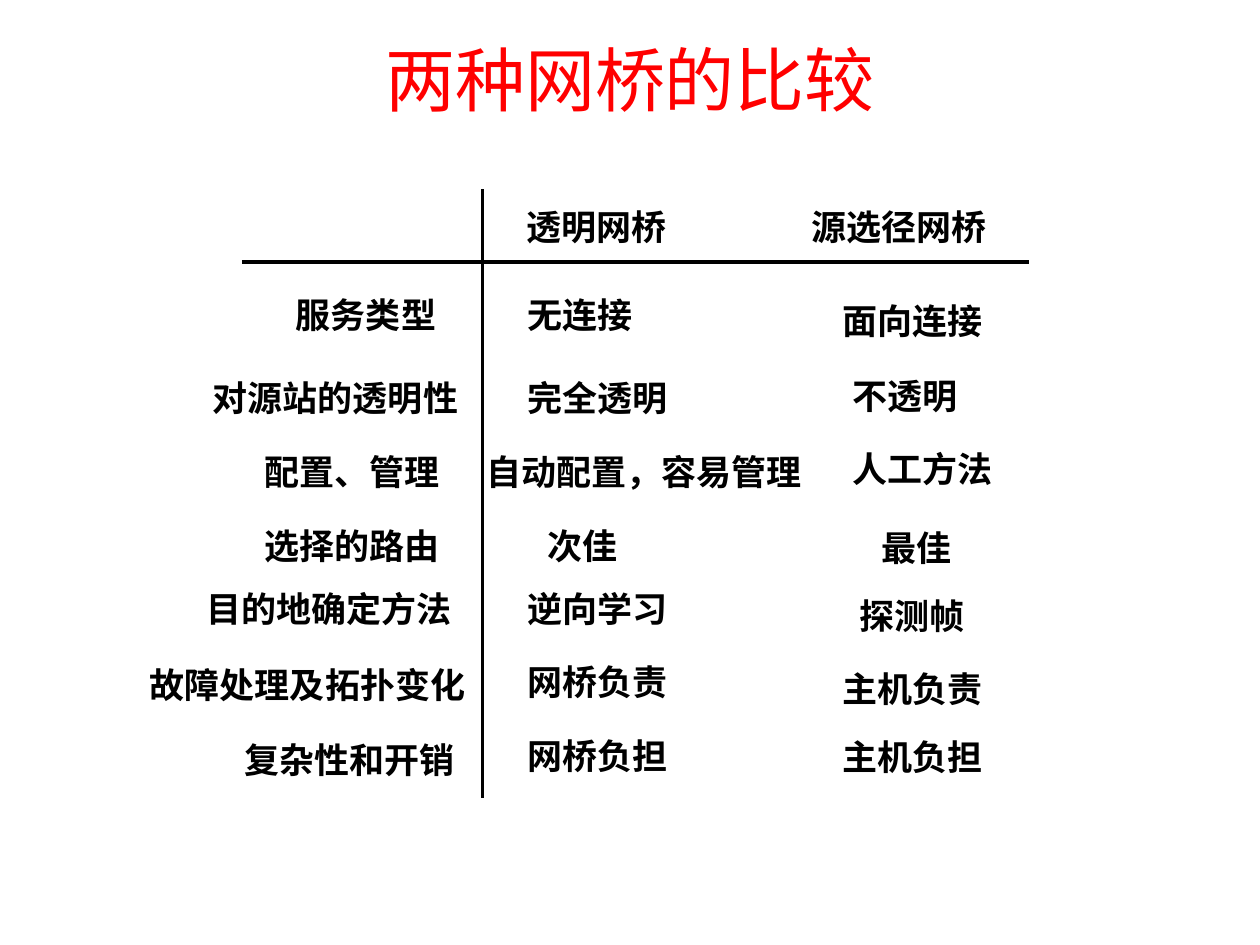
from lxml import etree
from pptx import Presentation
from pptx import util as u
from pptx.dml import color
from pptx.enum import shapes, text
from pptx.oxml import ns

COLORS = {"title": "FF0000", "ink": "000000"}
CHAR_WIDTH, SIDE_INSETS, ROW_HEIGHT = 0.28, 0.2, 0.44


def add_words(paragraph, words, font_name, size, ink, bold):
    run = paragraph.add_run()
    run.text = words
    run.font.name = font_name
    run.font.size = u.Pt(size)
    run.font.bold = bold
    run.font.color.rgb = color.RGBColor.from_string(COLORS[ink])


prs = Presentation()
prs.slide_width = u.Inches(10)
prs.slide_height = u.Inches(7.5)
slide = prs.slides.add_slide(prs.slide_layouts[5])

title = slide.shapes.title
title.left, title.top = u.Inches(0), u.Inches(0)
title.width, title.height = u.Inches(10), u.Inches(1.25)
title.text_frame.vertical_anchor = text.MSO_ANCHOR.MIDDLE
heading = title.text_frame.paragraphs[0]
heading.alignment = text.PP_ALIGN.CENTER
add_words(heading, "两种网桥的比较", "Times New Roman", 40, "title", False)

header_rule = (1.92, 2.08, 8.17, 2.08)
column_rule = (3.83, 1.5, 3.83, 6.33)
for ends in (header_rule, column_rule):
    rule = slide.shapes.add_connector(
        shapes.MSO_CONNECTOR.STRAIGHT, *[u.Inches(end) for end in ends])
    rule.line.color.rgb = color.RGBColor.from_string(COLORS["ink"])
    rule.line.width = u.Pt(2)
    etree.SubElement(rule._element.spPr, ns.qn("a:effectLst"))

comparison = [
    [(4.08, 1.58, "透明网桥"), (6.34, 1.58, "源选径网桥")],
    [(2.25, 2.28, "服务类型"), (4.09, 2.28, "无连接"), (6.59, 2.33, "面向连接")],
    [(1.59, 2.94, "对源站的透明性"), (4.09, 2.94, "完全透明"), (6.67, 2.92, "不透明")],
    [(2, 3.53, "配置、管理"), (3.76, 3.53, "自动配置，容易管理"), (6.67, 3.5, "人工方法")],
    [(2, 4.11, "选择的路由"), (4.25, 4.11, "次佳"), (6.9, 4.13, "最佳")],
    [(1.54, 4.61, "目的地确定方法"), (4.09, 4.61, "逆向学习"), (6.72, 4.67, "探测帧")],
    [(1.09, 5.22, "故障处理及拓扑变化"), (4.09, 5.19, "网桥负责"), (6.59, 5.25, "主机负责")],
    [(1.84, 5.81, "复杂性和开销"), (4.09, 5.78, "网桥负担"), (6.59, 5.79, "主机负担")],
]
for row in comparison:
    for left, top, words in row:
        width = SIDE_INSETS + CHAR_WIDTH * len(words)
        entry = slide.shapes.add_textbox(
            u.Inches(left), u.Inches(top), u.Inches(width), u.Inches(ROW_HEIGHT))
        entry.text_frame.word_wrap = False
        entry.text_frame.auto_size = text.MSO_AUTO_SIZE.SHAPE_TO_FIT_TEXT
        add_words(entry.text_frame.paragraphs[0], words, "Roboto", 20, "ink", True)

prs.save("out.pptx")
